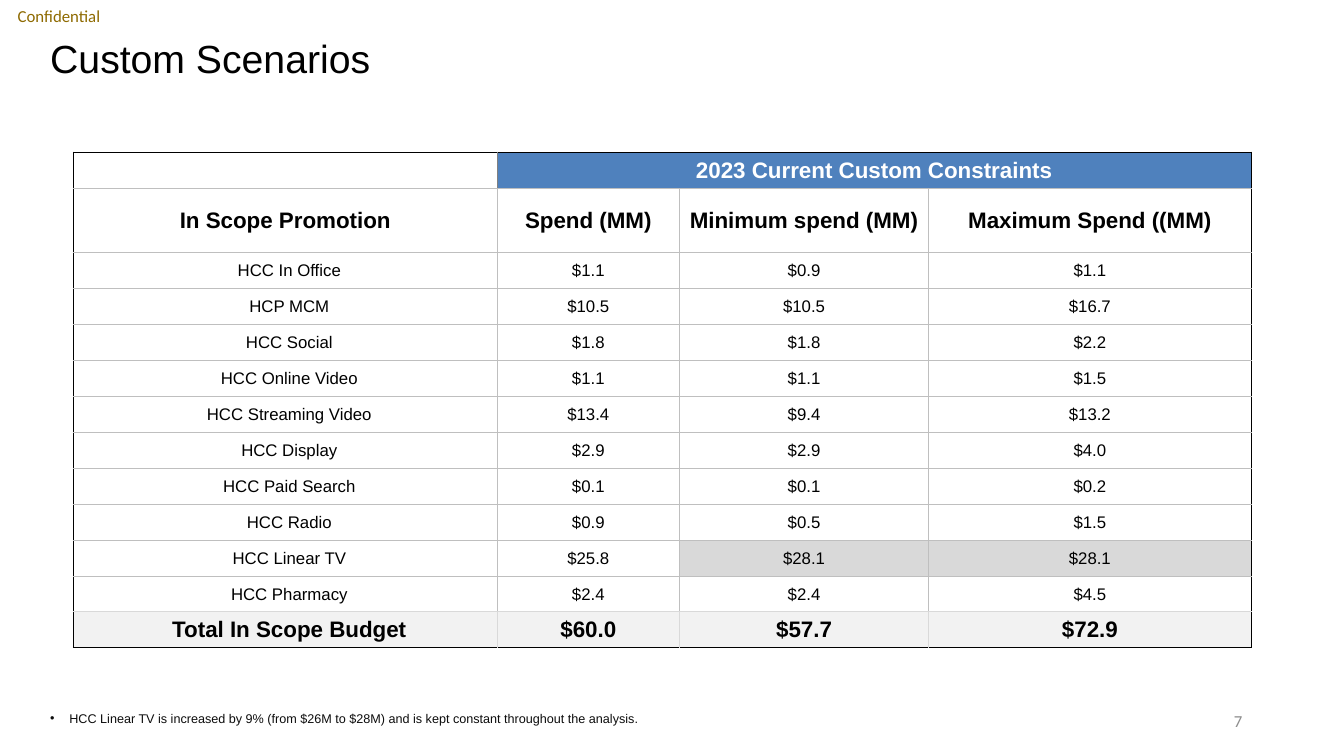
"""Build the custom scenarios slide with its table of spend constraints."""
import pptx
import pptx.dml.color
import pptx.enum.text
import pptx.oxml
import pptx.util
from lxml import etree
from pptx.oxml.ns import qn

Inches = pptx.util.Inches
Align = pptx.enum.text.PP_ALIGN
Anchor = pptx.enum.text.MSO_ANCHOR

COLOURS = {
    "black": "000000", "white": "FFFFFF", "gold": "8E6A00", "number": "8C8C8C",
    "note": "0D0D0D", "banner": "4F81BD", "held": "D9D9D9", "total": "F2F2F2",
    "grid": "BFBFBF", "banner edge": "808080", "total edge": "D9D9D9",
}
COLUMN_WIDTHS = [4.2, 1.81, 2.47, 3.2]
TABLE_HEIGHT, HEADING_HEIGHT = 4.92, 0.64
ROWS = [
    ["", "2023 Current Custom Constraints"],
    ["In Scope Promotion", "Spend (MM)", "Minimum spend (MM)", "Maximum Spend ((MM)"],
    ["HCC In Office", "$1.1", "$0.9", "$1.1"],
    ["HCP MCM", "$10.5", "$10.5", "$16.7"],
    ["HCC Social", "$1.8", "$1.8", "$2.2"],
    ["HCC Online Video", "$1.1", "$1.1", "$1.5"],
    ["HCC Streaming Video", "$13.4", "$9.4", "$13.2"],
    ["HCC Display", "$2.9", "$2.9", "$4.0"],
    ["HCC Paid Search", "$0.1", "$0.1", "$0.2"],
    ["HCC Radio", "$0.9", "$0.5", "$1.5"],
    ["HCC Linear TV", "$25.8", "$28.1", "$28.1"],
    ["HCC Pharmacy", "$2.4", "$2.4", "$4.5"],
    ["Total In Scope Budget", "$60.0", "$57.7", "$72.9"],
]
LAST_ROW, LAST_COLUMN = len(ROWS) - 1, len(COLUMN_WIDTHS) - 1
FILLS = {(0, 1): "banner", (10, 2): "held", (10, 3): "held"}
FILLS.update({(LAST_ROW, column): "total" for column in range(LAST_COLUMN + 1)})


def rgb(name):
    return pptx.dml.color.RGBColor.from_string(COLOURS[name])


def apply_format(target, values):
    for name, value in values.items():
        setattr(target, name, value)


def write_text(para, text, size, colour, font="Arial", bold=False):
    span = para.add_run()
    span.text = text
    apply_format(span.font, {"name": font, "size": pptx.util.Pt(size), "bold": bold})
    span.font.color.rgb = rgb(colour)


def add_text(page, place, text, size, colour, font="Arial", para_format=None, frame_format=None):
    box = page.shapes.add_textbox(*map(Inches, place))
    frame = box.text_frame
    apply_format(frame, {"word_wrap": True, "vertical_anchor": Anchor.MIDDLE, **(frame_format or {})})
    para = frame.paragraphs[0]
    apply_format(para, para_format or {})
    write_text(para, text, size, colour, font)
    return para


def add_bullet(para, indent):
    properties = para._p.get_or_add_pPr()
    properties.set("marL", str(Inches(indent)))
    properties.set("indent", str(-Inches(indent)))
    etree.SubElement(properties, qn("a:buFont")).set("typeface", "Arial")
    etree.SubElement(properties, qn("a:buChar")).set("char", "•")


def set_borders(cell, borders):
    properties = cell._tc.get_or_add_tcPr()
    for side, (colour, width) in borders.items():
        line = etree.SubElement(properties, qn("a:ln" + side), w=str(pptx.util.Pt(width)))
        fill = etree.SubElement(line, qn("a:solidFill"))
        etree.SubElement(fill, qn("a:srgbClr")).set("val", COLOURS[colour])


def cell_borders(row, column, end_column):
    outer = ("black", 1)
    upright = ({0: "banner edge", LAST_ROW: "total edge"}.get(row, "grid"), 0.5)
    above = ("total edge" if row == LAST_ROW else "grid", 0.5)
    below = ("total edge" if row == LAST_ROW - 1 else "grid", 0.5)
    return {
        "L": outer if column == 0 else upright,
        "R": outer if end_column == LAST_COLUMN else upright,
        "T": outer if row == 0 else above,
        "B": outer if row == LAST_ROW else below,
    }


def fill_cell(cell, row, column, text):
    end_column = column + (cell.span_width if cell.is_merge_origin else 1) - 1
    set_borders(cell, cell_borders(row, column, end_column))
    left = 0.09 if column == 0 and row > 1 else 0.01
    apply_format(cell, {
        "margin_left": Inches(left), "margin_right": Inches(0.01),
        "margin_top": Inches(0.01), "margin_bottom": 0, "vertical_anchor": Anchor.MIDDLE,
    })
    fill = FILLS.get((row, column))
    if fill:
        cell.fill.solid()
        cell.fill.fore_color.rgb = rgb(fill)
    else:
        cell.fill.background()
    para = cell.text_frame.paragraphs[0]
    para.alignment = Align.CENTER
    if text:
        strong = row in (0, 1, LAST_ROW)
        write_text(para, text, 16 if strong else 12, "white" if row == 0 else "black", bold=strong)


def add_constraints_table(page):
    place = map(Inches, (0.73, 1.51, sum(COLUMN_WIDTHS), TABLE_HEIGHT))
    table = page.shapes.add_table(len(ROWS), len(COLUMN_WIDTHS), *place).table
    apply_format(table, {"first_row": False, "horz_banding": False})
    for column, width in zip(table.columns, COLUMN_WIDTHS):
        column.width = Inches(width)
    row_height = (TABLE_HEIGHT - HEADING_HEIGHT) / LAST_ROW
    for index, row in enumerate(table.rows):
        row.height = Inches(HEADING_HEIGHT if index == 1 else row_height)
    table.cell(0, 1).merge(table.cell(0, LAST_COLUMN))
    for row, texts in enumerate(ROWS):
        for column, text in enumerate(texts):
            fill_cell(table.cell(row, column), row, column, text)


def main():
    deck = pptx.Presentation()
    apply_format(deck, {"slide_width": Inches(13.33), "slide_height": Inches(7.5)})
    page = deck.slides.add_slide(deck.slide_layouts[6])
    no_margins = {"margin_" + side: 0 for side in ("left", "right", "top", "bottom")}
    add_text(page, (0, 0, 1.17, 0.32), "Confidential", 12, "gold", "Calibri",
             {"alignment": Align.CENTER}, no_margins)
    add_text(page, (0.4, 0.4, 12, 0.4), "Custom Scenarios", 28, "black",
             para_format={"line_spacing": 0.9})
    add_text(page, (9.42, 6.95, 3, 0.4), "7", 12, "number", "Calibri",
             {"alignment": Align.RIGHT})
    add_constraints_table(page)
    note = add_text(
        page, (0.4, 7, 12, 0.25),
        "HCC Linear TV is increased by 9% (from $26M to $28M) and is kept constant throughout the analysis.",
        9, "note", frame_format={"vertical_anchor": Anchor.TOP})
    add_bullet(note, 0.19)
    deck.save("out.pptx")


if __name__ == "__main__":
    main()
